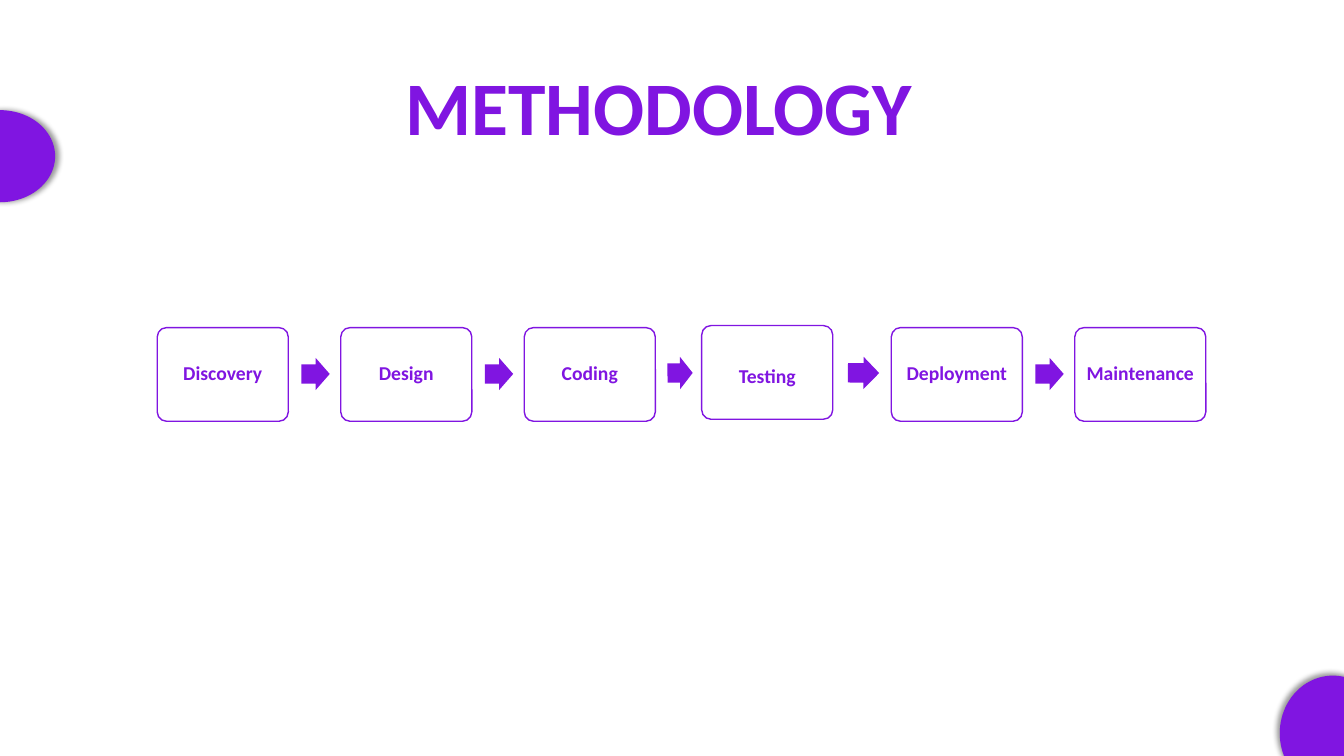
from lxml import etree
from pptx import Presentation
from pptx.dml.color import RGBColor
from pptx.enum import shapes, text
from pptx.oxml import ns
from pptx.util import Inches, Pt

PURPLE = RGBColor(0x80, 0x15, 0xE1)
KIND = shapes.MSO_SHAPE


def draw(kind, left, top, width, height):
    shape = slide.shapes.add_shape(
        kind, Inches(left), Inches(top), Inches(width), Inches(height))
    shape.shadow.inherit = False
    return shape


def write(frame, words, size, align):
    para = frame.paragraphs[0]
    para.alignment = align
    run = para.add_run()
    run.text = words
    run.font.name = "Calibri"
    run.font.size = Pt(size)
    run.font.bold = True
    run.font.color.rgb = PURPLE


deck = Presentation()
deck.slide_width = Inches(13.33)
deck.slide_height = Inches(7.5)
slide = deck.slides.add_slide(deck.slide_layouts[5])

title = slide.shapes.title
title.left, title.top = Inches(3.92), Inches(0.54)
title.width, title.height = Inches(5.69), Inches(1.01)
title.text_frame.auto_size = text.MSO_AUTO_SIZE.NONE
title.text_frame.vertical_anchor = text.MSO_ANCHOR.TOP
write(title.text_frame, "METHODOLOGY", 54, text.PP_ALIGN.JUSTIFY)

for left, top, width, height, angle in [
        (12.7, 6.71, 1.04, 1.13, 225), (-0.54, 1.1, 1.08, 0.9, 0)]:
    disc = draw(KIND.OVAL, left, top, width, height)
    disc.fill.solid()
    disc.fill.fore_color.rgb = PURPLE
    disc.line.color.rgb = PURPLE
    disc.line.width = Pt(1)
    effects = disc._element.spPr.find(ns.qn("a:effectLst"))
    shade = etree.SubElement(
        effects, ns.qn("a:outerShdw"), blurRad=str(Pt(4)), dist=str(Pt(3)),
        dir=str(angle * 60000), algn="ctr", rotWithShape="0")
    black = etree.SubElement(shade, ns.qn("a:srgbClr"), val="000000")
    etree.SubElement(black, ns.qn("a:alpha"), val="40000")

steps = [
    ("Discovery", 1.56, 3.25, 0.06),
    ("Design", 3.38, 3.25, 0.06),
    ("Coding", 5.2, 3.25, 0.06),
    ("Testing", 6.96, 3.23, 0.15),
    ("Deployment", 8.84, 3.25, 0.06),
    ("Maintenance", 10.66, 3.25, 0.06),
]
for name, left, top, inset in steps:
    box = draw(KIND.ROUNDED_RECTANGLE, left, top, 1.3, 0.93)
    box.adjustments[0] = 0.1
    box.fill.background()
    box.line.color.rgb = PURPLE
    box.line.width = Pt(1)
    frame = box.text_frame
    frame.word_wrap = True
    frame.vertical_anchor = text.MSO_ANCHOR.MIDDLE
    frame.margin_left = frame.margin_right = frame.margin_bottom = Inches(0.06)
    frame.margin_top = Inches(inset)
    write(frame, name, 14, text.PP_ALIGN.CENTER)
    frame.paragraphs[0].line_spacing = 0.9

arrows = [
    (2.99, 3.55, 0.28, 0),
    (4.81, 3.55, 0.28, 0),
    (6.62, 3.54, 0.25, 359.6),
    (8.41, 3.54, 0.31, 0.4),
    (10.27, 3.55, 0.28, 0),
]
for left, top, width, turn in arrows:
    arrow = draw(KIND.RIGHT_ARROW, left, top, width, 0.32)
    arrow.adjustments[0] = 0.6
    arrow.adjustments[1] = 0.5
    arrow.rotation = turn
    arrow.fill.solid()
    arrow.fill.fore_color.rgb = PURPLE
    arrow.line.fill.background()

deck.save("out.pptx")
